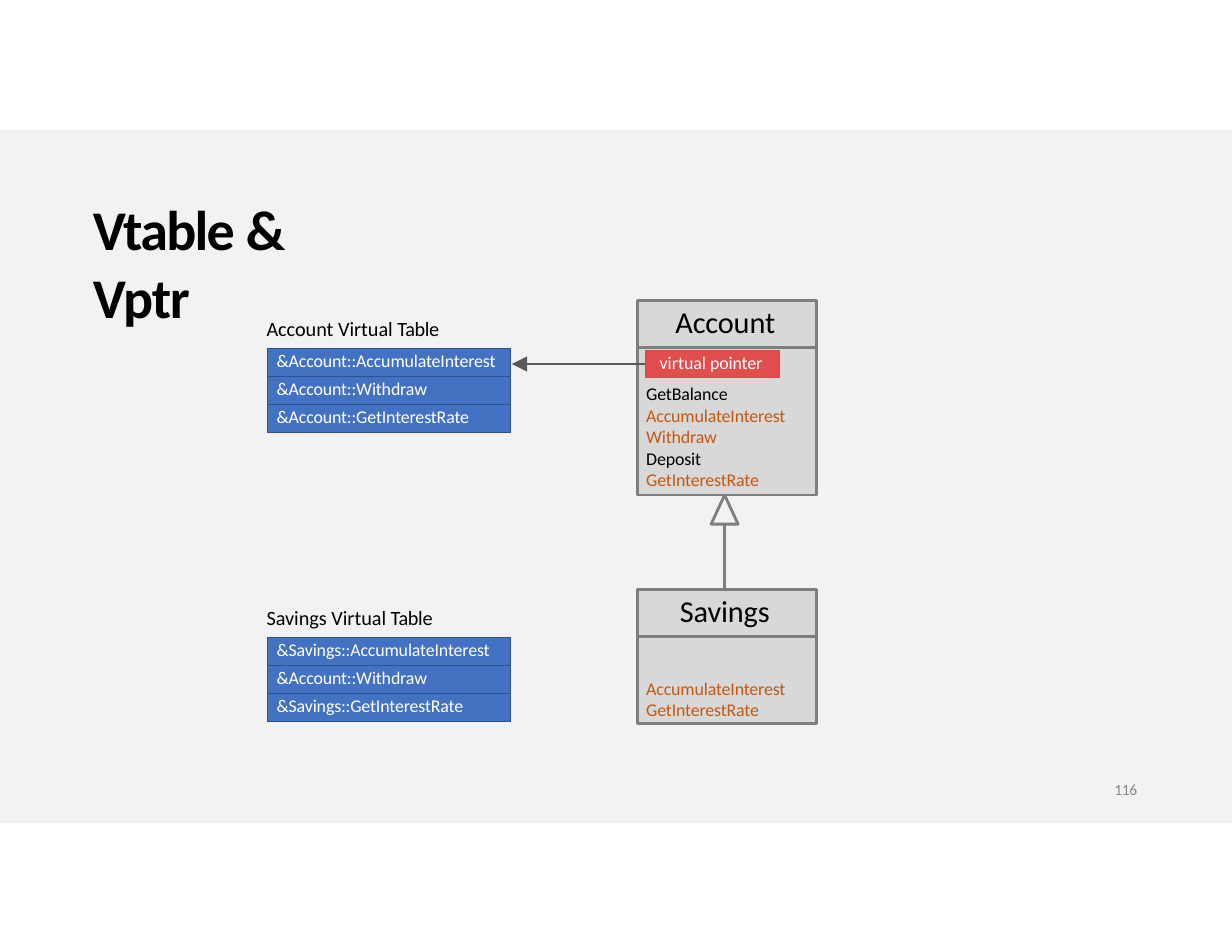
from pptx import Presentation
from pptx import util as u
from pptx.dml.color import RGBColor
from pptx.enum import shapes, text
from pptx.oxml import parse_xml
from pptx.oxml.ns import nsdecls, qn
from lxml import etree

WHITE = RGBColor(0xFF, 0xFF, 0xFF)
BLACK = RGBColor(0, 0, 0)
BAND = RGBColor(0xF2, 0xF2, 0xF2)
BOX = RGBColor(0xD8, 0xD8, 0xD8)
OUTLINE = RGBColor(0x7E, 0x7E, 0x7E)
VIRTUAL = RGBColor(0xC4, 0x59, 0x11)
TABLE = RGBColor(0x44, 0x72, 0xC3)
TABLE_EDGE = RGBColor(0x2F, 0x52, 0x8E)
POINTER = RGBColor(0xE2, 0x4D, 0x4D)
POINTER_EDGE = RGBColor(0xE1, 0x46, 0x46)
ARROW = RGBColor(0x59, 0x59, 0x59)
NUMBER = RGBColor(0x89, 0x89, 0x89)

WIDTH, HEIGHT = 11, 8.5
TABLE_LEFT, TABLE_WIDTH, ROW_HEIGHT = 2.39, 2.17, 0.25
CLASS_LEFT, CLASS_WIDTH, HEADING_HEIGHT = 5.69, 1.6, 0.42
ACCOUNT_TOP, SAVINGS_TOP = 2.68, 5.26
ACCOUNT_BODY, SAVINGS_BODY = 1.32, 0.78
LINE_WIDTH = 1.8


def inches(*values):
    return [u.Inches(value) for value in values]


def write(frame, paragraphs, size, color=BLACK, top=0, left=0, spacing=0, **font):
    """Fill a frame; each paragraph is a list of (text, format overrides)."""
    settings = {
        "word_wrap": True, "auto_size": text.MSO_AUTO_SIZE.NONE,
        "vertical_anchor": text.MSO_ANCHOR.TOP,
        "margin_left": u.Inches(left), "margin_top": u.Inches(top),
        "margin_right": 0, "margin_bottom": 0,
    }
    for name, value in settings.items():
        setattr(frame, name, value)
    for index, runs in enumerate(paragraphs):
        paragraph = frame.add_paragraph() if index else frame.paragraphs[0]
        paragraph.alignment = text.PP_ALIGN.LEFT
        for words, overrides in runs:
            run = paragraph.add_run()
            run.text = words
            values = {"color": color, "spacing": spacing, **overrides}
            for name, value in {"name": "Calibri", "size": u.Pt(size), **font}.items():
                setattr(run.font, name, value)
            run.font.color.rgb = values["color"]
            run._r.get_or_add_rPr().set("spc", str(round(values["spacing"] * 100)))


def add_text(slide, box, paragraphs, size, **options):
    shape = slide.shapes.add_textbox(*inches(*box))
    write(shape.text_frame, paragraphs, size, **options)


def add_box(slide, box, fill=BOX, line=OUTLINE, width=LINE_WIDTH,
            kind=shapes.MSO_SHAPE.RECTANGLE):
    shape = slide.shapes.add_shape(kind, *inches(*box))
    shape.shadow.inherit = False
    if fill is None:
        shape.fill.background()
    else:
        shape.fill.solid()
        shape.fill.fore_color.rgb = fill
    if line is None:
        shape.line.fill.background()
    else:
        shape.line.color.rgb = line
        shape.line.width = u.Pt(width)
    return shape


def add_line(slide, start, end, color, width, head=False):
    line = slide.shapes.add_connector(
        shapes.MSO_CONNECTOR.STRAIGHT, *inches(*start, *end))
    line.line.color.rgb = color
    line.line.width = u.Pt(width)
    if head:
        etree.SubElement(line.line._get_or_add_ln(), qn("a:tailEnd"),
                         type="triangle", w="lg", len="lg")
    etree.SubElement(line._element.spPr, qn("a:effectLst"))


def add_class(slide, name, top, indent, body_height, members, members_top):
    """Draw a class box; members are (name, is_virtual) pairs."""
    heading = add_box(slide, (CLASS_LEFT, top, CLASS_WIDTH, HEADING_HEIGHT))
    write(heading.text_frame, [[(name, {})]], 19.5, top=0.03, left=indent, spacing=-0.1)
    body = add_box(slide, (CLASS_LEFT, top + HEADING_HEIGHT, CLASS_WIDTH, body_height))
    lines = [[(member, {"color": VIRTUAL if virtual else BLACK})]
             for member, virtual in members]
    write(body.text_frame, lines, 11.5, top=members_top, left=0.08, spacing=-0.1)


def set_borders(cell):
    properties = cell._tc.get_or_add_tcPr()
    for index, side in enumerate(("lnL", "lnR", "lnT", "lnB")):
        properties.insert(index, parse_xml(
            f'<a:{side} {nsdecls("a")} w="12700"><a:solidFill>'
            f'<a:srgbClr val="{TABLE_EDGE}"/></a:solidFill></a:{side}>'))


def add_virtual_table(slide, name, class_top, entries):
    add_text(slide, (TABLE_LEFT - 0.02, class_top + 0.12, 1.61, 0.25),
             [[(f"{name} Virtual ", {}), ("Table", {"spacing": -0.2})]],
             13, top=0.02, left=0.01)
    frame = slide.shapes.add_table(len(entries), 1, *inches(
        TABLE_LEFT, class_top + 0.43, TABLE_WIDTH, ROW_HEIGHT * len(entries)))
    table = frame.table
    table.first_row = table.horz_banding = False
    for row, entry in enumerate(entries):
        table.rows[row].height = u.Inches(ROW_HEIGHT)
        cell = table.cell(row, 0)
        cell.fill.solid()
        cell.fill.fore_color.rgb = TABLE
        set_borders(cell)
        write(cell.text_frame, [[(f"&{entry}", {})]], 11.5, color=WHITE, spacing=-0.1)
        cell.margin_left, cell.margin_top = inches(0.08, 0.02)
        cell.margin_right = cell.margin_bottom = 0


def add_title(slide):
    title = slide.shapes.title
    title.left, title.top, title.width, title.height = inches(0.82, 1.7, 2.6, 0.63)
    write(title.text_frame,
          [[("Vtable ", {"spacing": -1.1}), ("& ", {}), ("Vptr", {"spacing": -0.8})]],
          36, top=0.04, left=0.01, bold=True)


def add_inheritance(slide):
    center, half, tip = 6.47, 0.12, ACCOUNT_TOP + HEADING_HEIGHT + ACCOUNT_BODY
    base = tip + 0.26
    add_box(slide, (center - half, tip, 2 * half, base - tip), fill=None,
            kind=shapes.MSO_SHAPE.ISOSCELES_TRIANGLE)
    add_line(slide, (center, SAVINGS_TOP), (center, base), OUTLINE, LINE_WIDTH)


def add_virtual_pointer(slide):
    left, top, height = 5.76, 3.13, 0.24
    pointer = add_box(slide, (left, top, 1.2, height), POINTER, POINTER_EDGE, 0.25)
    write(pointer.text_frame, [[("virtual ", {}), ("pointer", {"spacing": -0.1})]],
          11.5, color=WHITE, top=0.01, left=0.13)
    middle = top + height / 2
    add_line(slide, (left, middle), (TABLE_LEFT + TABLE_WIDTH + 0.01, middle),
             ARROW, 1.5, head=True)


def main():
    presentation = Presentation()
    presentation.slide_width, presentation.slide_height = inches(WIDTH, HEIGHT)
    slide = presentation.slides.add_slide(presentation.slide_layouts[5])
    band = add_box(slide, (0, 1.16, WIDTH, 6.19), BAND, None)
    slide.shapes._spTree.insert(2, band._element)
    add_title(slide)
    add_class(slide, "Account", ACCOUNT_TOP, 0.34, ACCOUNT_BODY,
              [("GetBalance", False), ("AccumulateInterest", True), ("Withdraw", True),
               ("Deposit", False), ("GetInterestRate", True)], 0.32)
    add_virtual_table(slide, "Account", ACCOUNT_TOP,
                      ["Account::AccumulateInterest", "Account::Withdraw",
                       "Account::GetInterestRate"])
    add_class(slide, "Savings", SAVINGS_TOP, 0.38, SAVINGS_BODY,
              [("AccumulateInterest", True), ("GetInterestRate", True)], 0.37)
    add_virtual_table(slide, "Savings", SAVINGS_TOP,
                      ["Savings::AccumulateInterest", "Account::Withdraw",
                       "Savings::GetInterestRate"])
    add_inheritance(slide)
    add_virtual_pointer(slide)
    add_text(slide, (9.94, 6.96, 0.28, 0.17), [[("116", {})]], 10,
             color=NUMBER, left=0.01, spacing=-0.2)
    presentation.save("out.pptx")


if __name__ == "__main__":
    main()
